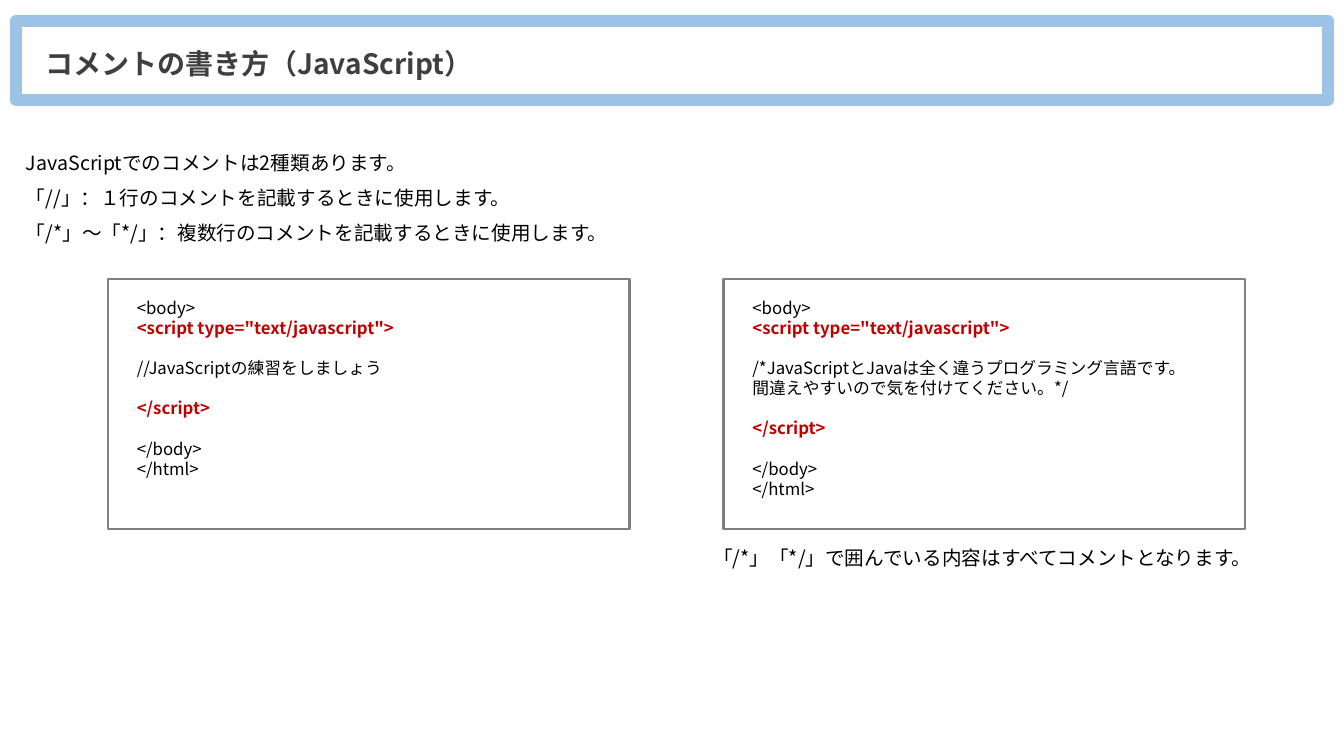
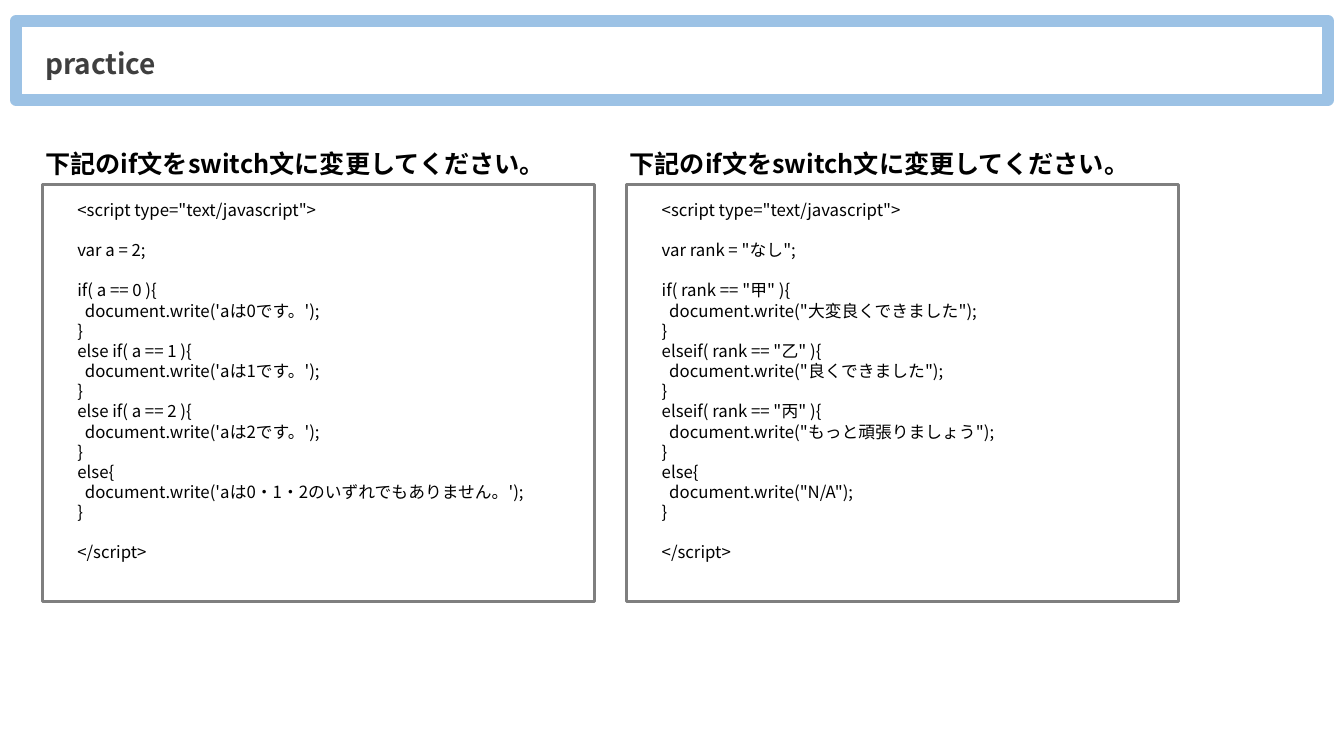
from pptx import Presentation
from pptx import util as u
from pptx.dml.color import RGBColor
from pptx.enum import shapes, text
from pptx.oxml import ns
from lxml import etree

FONT = "Noto Sans CJK JP"
BLACK, TITLE, BAND, FRAME, TAG = "000000", "3F3F3F", "9CC2E5", "7F7F7F", "C00000"
CODE_SIZE = 12
CODE_LINE = 0.2


def color(value):
    return RGBColor.from_string(value)


class Deck:
    def __init__(self):
        self.prs = Presentation()
        self.prs.slide_width = u.Inches(13.34)
        self.prs.slide_height = u.Inches(7.5)

    def new_slide(self, title):
        self.slide = self.prs.slides.add_slide(self.prs.slide_layouts[6])
        banner = self.rect(0.35, 0.34, 12.64, 0.57, fill="FFFFFF")
        banner.text_frame.vertical_anchor = text.MSO_ANCHOR.MIDDLE
        self.set_text(banner.text_frame.paragraphs[0], title, 20, TITLE, True)
        self.rect(0.16, 0.21, 13.02, 0.78, line=BAND, weight=8.75)

    def rect(self, x, y, w, h, fill=None, line=None, weight=1.75):
        box = self.slide.shapes.add_shape(
            shapes.MSO_SHAPE.RECTANGLE, *map(u.Inches, (x, y, w, h)))
        box.shadow.inherit = False
        if fill:
            box.fill.solid()
            box.fill.fore_color.rgb = color(fill)
        else:
            box.fill.background()
        if line:
            box.line.color.rgb = color(line)
            box.line.width = u.Pt(weight)
        else:
            box.line.fill.background()
        return box

    def set_text(self, paragraph, words, size, ink=BLACK, bold=False):
        paragraph.text = words
        paragraph.alignment = text.PP_ALIGN.LEFT
        font = paragraph.font
        font.name, font.size, font.bold = FONT, u.Pt(size), bold
        font.color.rgb = color(ink)
        defaults = paragraph._p.pPr.find(ns.qn("a:defRPr"))
        etree.SubElement(defaults, ns.qn("a:ea"), typeface=FONT)

    def text_frame(self, x, y, w, h):
        frame = self.slide.shapes.add_textbox(*map(u.Inches, (x, y, w, h))).text_frame
        frame.word_wrap = True
        frame.auto_size = text.MSO_AUTO_SIZE.SHAPE_TO_FIT_TEXT
        return frame

    def prose(self, x, y, w, h, lines, size=14, bold=False):
        frame = self.text_frame(x, y, w, h)
        for i, line in enumerate(lines):
            paragraph = frame.add_paragraph() if i else frame.paragraphs[0]
            self.set_text(paragraph, line, size, bold=bold)
            paragraph.line_spacing = 1.5

    def code(self, x, y, w, h, dx, dy, listing, highlight=()):
        self.rect(x, y, w, h, line=FRAME)
        lines = listing.strip().split("\n")
        frame = self.text_frame(x + dx, y + dy, w - dx, len(lines) * CODE_LINE + 0.1)
        gap = 0
        for i, line in enumerate(lines):
            if not line:
                gap += CODE_LINE
                continue
            paragraph = frame.add_paragraph() if i else frame.paragraphs[0]
            marked = line in highlight
            self.set_text(paragraph, line, CODE_SIZE, TAG if marked else BLACK, marked)
            if gap:
                paragraph.space_before = u.Inches(gap)
            gap = 0


SINGLE_LINE = """
<body>
<script type="text/javascript">

//JavaScriptの練習をしましょう

</script>

</body>
</html>
"""

MULTI_LINE = """
<body>
<script type="text/javascript">

/*JavaScriptとJavaは全く違うプログラミング言語です。
間違えやすいので気を付けてください。*/

</script>

</body>
</html>
"""

NUMBER_IF = """
<script type="text/javascript">

var a = 2;

if( a == 0 ){
  document.write('aは0です。');
}
else if( a == 1 ){
  document.write('aは1です。');
}
else if( a == 2 ){
  document.write('aは2です。');
}
else{
  document.write('aは0・1・2のいずれでもありません。');
}

</script>
"""

RANK_IF = """
<script type="text/javascript">

var rank = "なし";

if( rank == "甲" ){
  document.write("大変良くできました");
}
elseif( rank == "乙" ){
  document.write("良くできました");
}
elseif( rank == "丙" ){
  document.write("もっと頑張りましょう");
}
else{
  document.write("N/A");
}

</script>
"""


def main():
    deck = Deck()

    deck.new_slide("コメントの書き方（JavaScript）")
    deck.prose(0.16, 1.33, 12.2, 1.15, [
        "JavaScriptでのコメントは2種類あります。",
        "「//」：１行のコメントを記載するときに使用します。",
        "「/*」～「*/」：複数行のコメントを記載するときに使用します。",
    ])
    script_tags = ('<script type="text/javascript">', "</script>")
    for x, listing in ((1.07, SINGLE_LINE), (7.18, MULTI_LINE)):
        deck.code(x, 2.77, 5.18, 2.48, 0.19, 0.13, listing, script_tags)
    deck.prose(6.98, 5.25, 6.2, 0.45,
               ["「/*」「*/」で囲んでいる内容はすべてコメントとなります。"])

    deck.new_slide("practice")
    for x, listing in ((0.42, NUMBER_IF), (6.22, RANK_IF)):
        deck.code(x, 1.83, 5.48, 4.14, 0.25, 0.1, listing)
        deck.prose(x - 0.07, 1.27, 5.9, 0.55,
                   ["下記のif文をswitch文に変更してください。"], 18, True)

    deck.prs.save("out.pptx")


if __name__ == "__main__":
    main()
